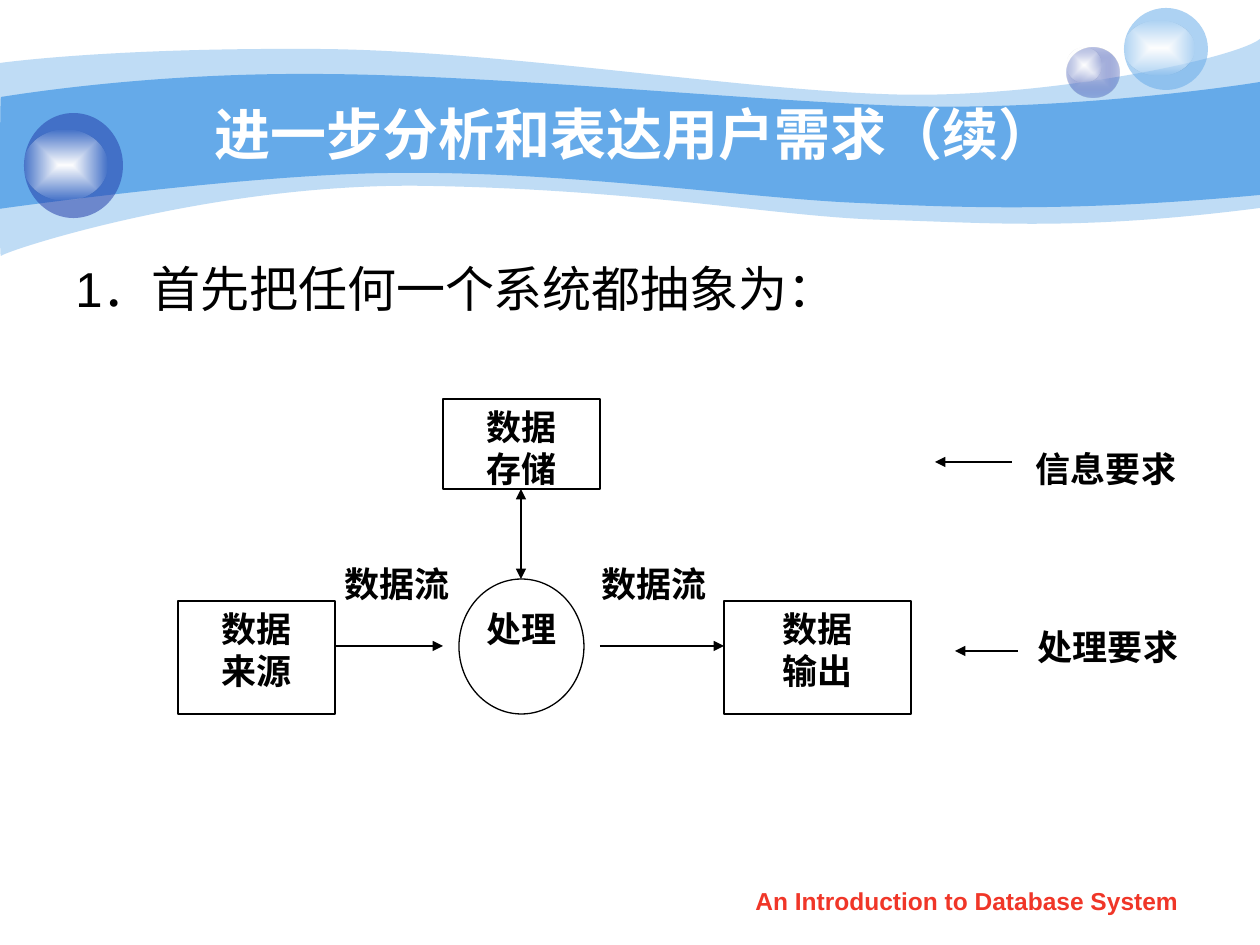
"""Build the slide that abstracts any system into data source, process, store and output."""
from lxml import etree
from pptx import Presentation
from pptx import util as u
from pptx.dml.color import RGBColor
from pptx.enum import shapes, text
from pptx.oxml import ns

PX = 914400 / 126
COLORS = {
    "black": "000000", "white": "FFFFFF", "sky": "65AAE9",
    "navy": "233DA9", "lilac": "C7CEE9", "red": "F03628",
}


def paint(shape, stops):
    """Fill a borderless shape with one colour, or with a gradient from its centre."""
    shape.shadow.inherit = False
    shape.line.fill.background()
    fill = etree.Element(ns.qn("a:solidFill" if len(stops) == 1 else "a:gradFill"))
    parent = fill if len(stops) == 1 else etree.SubElement(fill, ns.qn("a:gsLst"))
    for index, (name, alpha) in enumerate(stops):
        holder = parent
        if len(stops) > 1:
            holder = etree.SubElement(parent, ns.qn("a:gs"), pos=str(index * 100000))
        color = etree.SubElement(holder, ns.qn("a:srgbClr"), val=COLORS[name])
        if alpha < 100:
            etree.SubElement(color, ns.qn("a:alpha"), val=str(alpha * 1000))
    if len(stops) > 1:
        route = etree.SubElement(fill, ns.qn("a:path"), path="rect")
        etree.SubElement(route, ns.qn("a:fillToRect"), l="50000", t="50000", r="50000", b="50000")
    shape.element.spPr.insert(2, fill)


def write(box, words, size=20, font="Times New Roman", color="black", bold=True,
          align="CENTER", anchor="TOP", inset=0, before=0, hang=0):
    """Put one paragraph per line of words into a box."""
    frame = box.text_frame
    frame.word_wrap = True
    frame.auto_size = text.MSO_AUTO_SIZE.NONE
    frame.vertical_anchor = text.MSO_ANCHOR[anchor]
    frame.margin_left = frame.margin_right = u.Inches(inset)
    frame.margin_top = frame.margin_bottom = u.Inches(0.05)
    for index, line in enumerate(words.split("\n")):
        para = frame.add_paragraph() if index else frame.paragraphs[0]
        para.alignment = text.PP_ALIGN[align]
        para.space_before = u.Pt(before)
        if hang:
            properties = para._p.get_or_add_pPr()
            properties.set("marL", str(round(hang * PX)))
            properties.set("indent", str(round(-hang * PX)))
        span = para.add_run()
        span.text = line
        span.font.name = font
        span.font.size = u.Pt(size)
        span.font.bold = bold
        span.font.color.rgb = RGBColor.from_string(COLORS[color])


deck = Presentation()
deck.slide_width, deck.slide_height = round(1260 * PX), round(945 * PX)
page = deck.slides.add_slide(deck.slide_layouts[5])

waves = [
    ((0, 63), 41, [
        (30, 59, 135, 48, 311, 49), (486, 49, 724, 88, 881, 94),
        (1036, 101, 1235, 59, 1260, 39), (1260, 208),
        (1081, 231, 992, 223, 888, 220), (784, 218, 649, 190, 432, 186),
        (217, 181, 5, 251, 1, 256), (-1, 262, 0, 94, 0, 63)]),
    ((1, 97), 100, [
        (3, 97, 139, 73, 312, 74), (486, 74, 750, 101, 905, 106),
        (1060, 111, 1230, 87, 1260, 82), (1260, 195),
        (1075, 212, 964, 208, 859, 203), (755, 199, 563, 171, 399, 173),
        (256, 173, -3, 209, -1, 209), (0, 209, 0, 97, 1, 97)]),
]
for start, alpha, segments in waves:
    outline = page.shapes.build_freeform(*[round(v * PX) for v in start])
    for segment in segments:
        points = zip(segment[::2], segment[1::2])
        outline.add_line_segments([(round(x * PX), round(y * PX)) for x, y in points], close=False)
    outline.add_line_segments([], close=True)
    wave = outline.convert_to_shape()
    steps = iter(list(wave.element.iter(ns.qn("a:lnTo"))))
    for segment in segments:
        first = next(steps)
        if len(segment) == 6:
            curve = etree.Element(ns.qn("a:cubicBezTo"))
            first.addprevious(curve)
            for step in (first, next(steps), next(steps)):
                curve.append(step[0])
                step.getparent().remove(step)
    paint(wave, [("sky", alpha)])

glow = [("white", 100), ("white", 0)]
bubbles = [
    ((1067, 48, 53, 50), [("lilac", 100), ("navy", 31)]), ((1067, 48, 35, 34), glow),
    ((1124, 8, 84, 82), [("sky", 53)]), ((1124, 21, 70, 54), glow),
    ((24, 113, 99, 105), [("navy", 53)]), ((24, 130, 83, 70), glow),
]
for place, stops in bubbles:
    bubble = page.shapes.add_shape(shapes.MSO_SHAPE.OVAL, *[round(v * PX) for v in place])
    paint(bubble, stops)

title = page.shapes.title
title.left, title.top, title.width, title.height = [round(v * PX) for v in (126, 94, 1018, 78)]
write(title, "进一步分析和表达用户需求（续）", size=32, font="Arial", color="white",
      anchor="MIDDLE", inset=0.1)
page.shapes.element.append(title.element)

labels = [
    ((719, 880, 496, 44), "An Introduction to Database System",
     dict(size=14, font="Arial", color="red", inset=0.1)),
    ((63, 252, 1134, 620), "1．首先把任何一个系统都抽象为：",
     dict(size=28, font="Arial", bold=False, align="LEFT", inset=0.1, before=7, hang=48)),
    ((584, 556, 140, 90), "数据流", {}),
    ((335, 556, 125, 90), "数据流", {}),
    ((1028, 441, 156, 92), "信息要求", {}),
    ((475, 601, 93, 67), "处理", {}),
    ((1030, 619, 156, 72), "处理要求", {}),
]
for place, words, style in labels:
    write(page.shapes.add_textbox(*[round(v * PX) for v in place]), words, **style)

nodes = [
    ("OVAL", (459, 579, 125, 135), ""),
    ("RECTANGLE", (443, 399, 157, 90), "数据\n存储"),
    ("RECTANGLE", (178, 601, 157, 113), "数据\n来源"),
    ("RECTANGLE", (724, 601, 187, 113), "数据\n输出"),
]
for kind, place, words in nodes:
    node = page.shapes.add_shape(shapes.MSO_SHAPE[kind], *[round(v * PX) for v in place])
    node.shadow.inherit = False
    node.fill.background()
    node.line.color.rgb = RGBColor.from_string(COLORS["black"])
    node.line.width = u.Pt(0.75)
    if words:
        write(node, words)

arrows = [
    ((1012, 462, 935, 462), ["tailEnd"]),
    ((335, 646, 443, 646), ["tailEnd"]),
    ((600, 646, 724, 646), ["tailEnd"]),
    ((1018, 651, 955, 651), ["tailEnd"]),
    ((521, 489, 521, 579), ["headEnd", "tailEnd"]),
]
for ends, heads in arrows:
    arrow = page.shapes.add_connector(shapes.MSO_CONNECTOR.STRAIGHT, *[round(v * PX) for v in ends])
    arrow.line.color.rgb = RGBColor.from_string(COLORS["black"])
    arrow.line.width = u.Pt(0.75)
    properties = arrow.element.spPr
    for head in heads:
        etree.SubElement(properties.find(ns.qn("a:ln")), ns.qn("a:" + head), type="triangle")
    etree.SubElement(properties, ns.qn("a:effectLst"))

deck.save("out.pptx")
